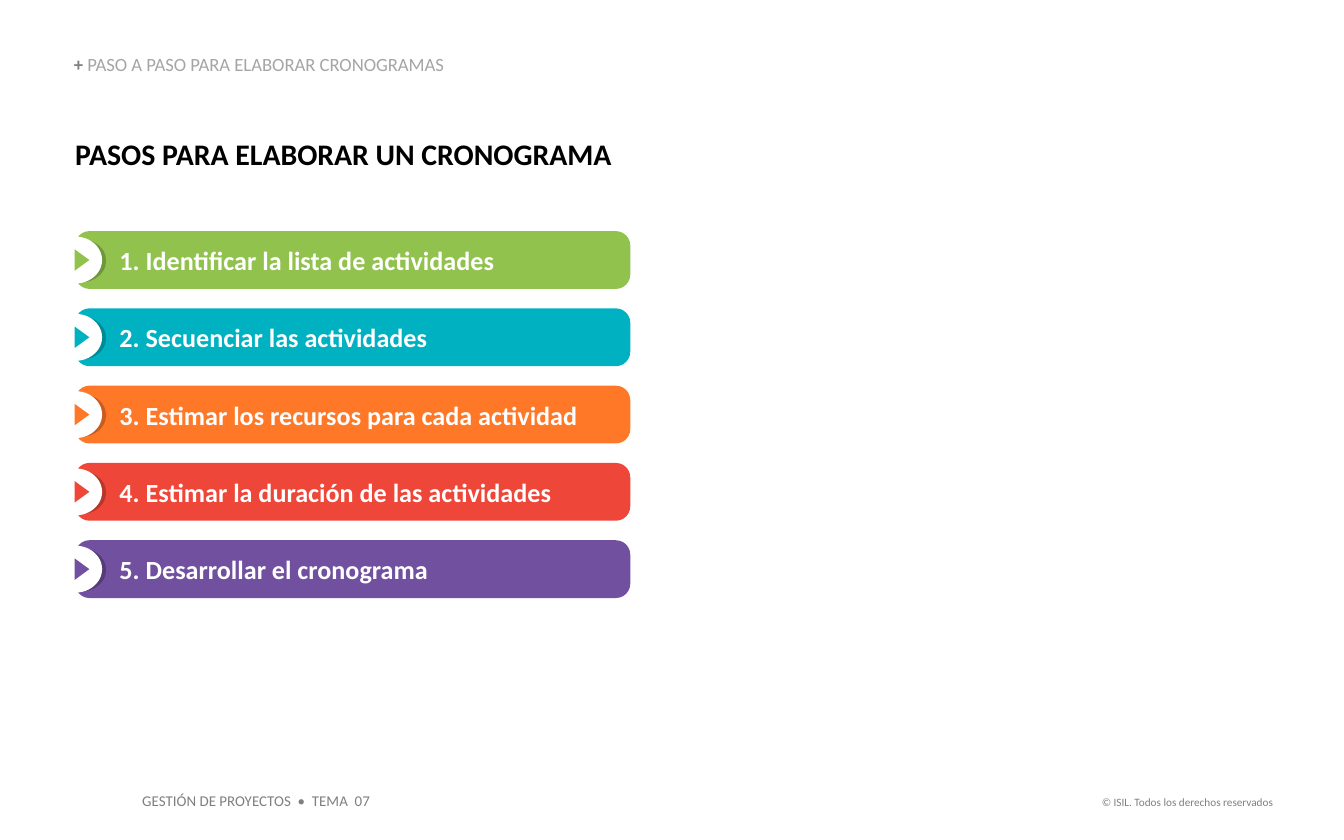
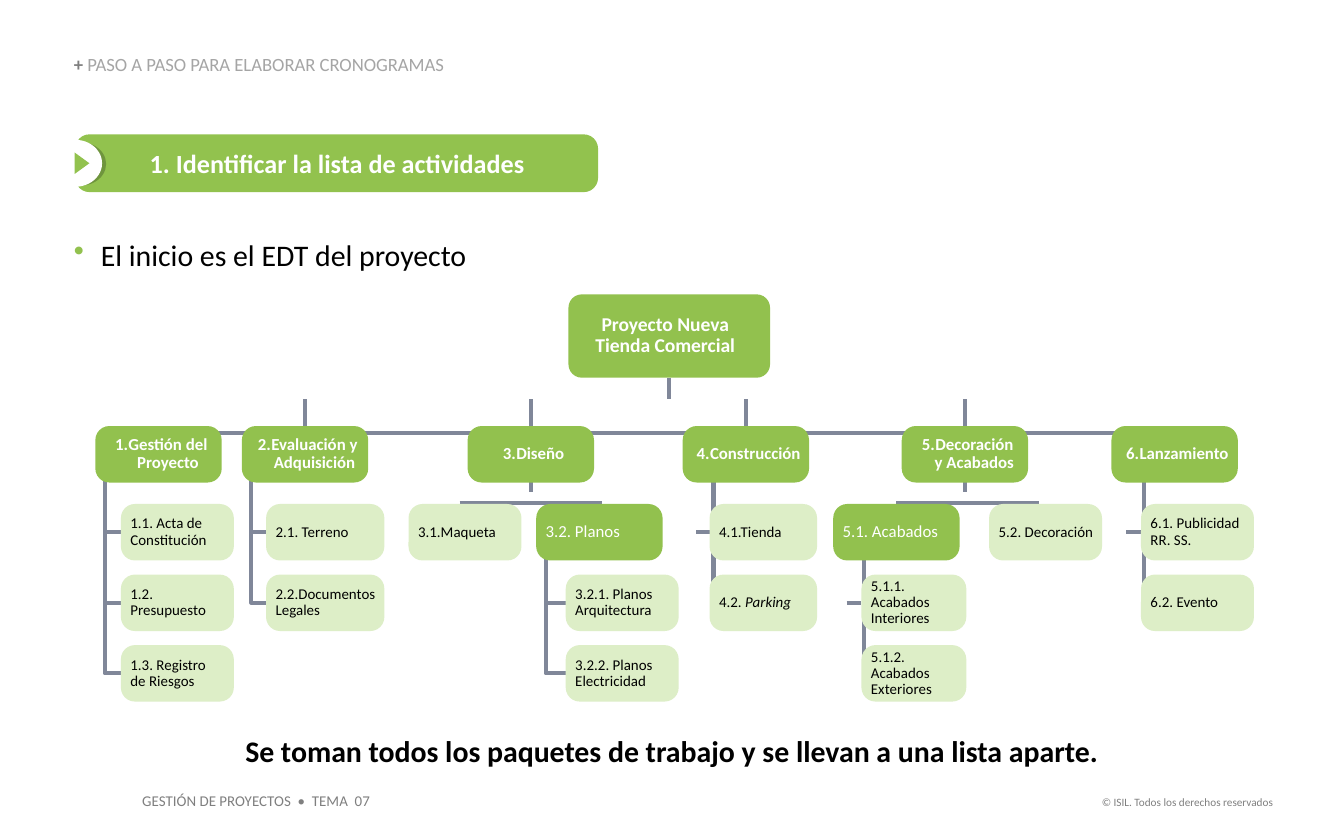
from pptx import Presentation
from pptx.dml.color import RGBColor
from pptx.enum.shapes import MSO_CONNECTOR, MSO_SHAPE
from pptx.enum.text import MSO_ANCHOR, MSO_AUTO_SIZE, PP_ALIGN
from pptx.oxml.ns import qn
from pptx.util import Inches, Pt
from lxml.etree import SubElement

FONT = "Calibri"
WHITE = RGBColor(0xFF, 0xFF, 0xFF)
BLACK = RGBColor(0, 0, 0)
GRAY = RGBColor(0x7F, 0x7F, 0x7F)
SILVER = RGBColor(0xA5, 0xA5, 0xA5)
SLATE = RGBColor(0x80, 0x87, 0x99)
LEAF = RGBColor(0x92, 0xC1, 0x4E)
PALE = RGBColor(0xDD, 0xEE, 0xC7)
GREEN = (RGBColor(0x92, 0xC2, 0x4E), RGBColor(0x6F, 0x95, 0x3D))
TEAL = (RGBColor(0x00, 0xB1, 0xC2), RGBColor(0x00, 0x89, 0x96))
ORANGE = (RGBColor(0xFE, 0x78, 0x28), RGBColor(0xC8, 0x5D, 0x1F))
RED = (RGBColor(0xEE, 0x46, 0x38), RGBColor(0xB8, 0x37, 0x2B))
PURPLE = (RGBColor(0x71, 0x50, 0xA0), RGBColor(0x55, 0x3C, 0x78))

LEFT, CENTER, RIGHT = PP_ALIGN.LEFT, PP_ALIGN.CENTER, PP_ALIGN.RIGHT
MARGIN = 0.56
BAND_H, BAND_GAP = 0.43, 0.575

# Grid of the work breakdown chart
BOX_H, PHASE_W, PHASE_Y = 0.42, 0.94, 3.17
ROW_Y, ROW_GAP = 3.75, 0.525
BUS_Y, DROP_Y, FORK_Y = 3.22, 2.97, 3.74

STEPS = [
    ("1. Identificar la lista de actividades", GREEN),
    ("2. Secuenciar las actividades", TEAL),
    ("3. Estimar los recursos para cada actividad", ORANGE),
    ("4. Estimar la duración de las actividades", RED),
    ("5. Desarrollar el cronograma", PURPLE),
]
PHASES = [
    (0.71, "Gestión del Proyecto"),
    (1.8, "Evaluación y Adquisición"),
    (3.48, "Diseño"),
    (5.08, "Construcción"),
    (6.71, "Decoración\ny Acabados"),
    (8.27, "Lanzamiento"),
]
# Left, width, first row, labels, spine x, spine top, spine overshoots
STACKS = [
    (0.9, 0.84, 0, ["1.1. Acta de Constitución", "1.2. Presupuesto",
                    "1.3. Registro\nde Riesgos"], 0.78, 3.38, False),
    (1.98, 0.88, 0, ["2.1. Terreno", "2.2.Documentos Legales"],
     1.87, 3.38, False),
    (4.21, 0.84, 1, ["3.2.1. Planos Arquitectura",
                     "3.2.2. Planos Electricidad"], 4.06, 3.96, False),
    (5.28, 0.8, 0, ["4.1.Tienda", "4.2. *Parking"], 5.31, 3.38, True),
    (6.41, 0.78, 1, ["5.1.1. Acabados Interiores",
                     "5.1.2. Acabados Exteriores"], 6.43, 3.96, True),
    (8.49, 0.84, 0, ["6.1. Publicidad RR. SS.", "6.2. Evento"],
     8.51, 3.38, True),
]


def set_frame(frame, pads, anchor):
    frame.word_wrap = True
    frame.auto_size = MSO_AUTO_SIZE.NONE
    frame.vertical_anchor = anchor
    (frame.margin_left, frame.margin_top,
     frame.margin_right, frame.margin_bottom) = [Inches(p) for p in pads]


def write(frame, text, size, color, bold=False, align=LEFT, tight=False):
    para = frame.paragraphs[0]
    para.text = text
    para.alignment = align
    if tight:
        para.line_spacing = 0.9
    for run in para.runs:
        style(run, size, color, bold)
    return para


def style(run, size, color, bold=False):
    font = run.font
    font.name, font.size, font.bold = FONT, Pt(size), bold
    font.color.rgb = color


def indent(para, left, hang=0):
    props = para._p.get_or_add_pPr()
    props.set("marL", str(Inches(left)))
    props.set("indent", str(Inches(hang)))
    return props


def bullet(para, color, left, tag, **attrs):
    props = indent(para, left, -left)
    tint = SubElement(props, qn("a:buClr"))
    SubElement(tint, qn("a:srgbClr"), val=str(color))
    SubElement(props, qn(tag), **attrs)


def add_text(slide, x, y, w, h, text, size, color, bold=False,
             align=LEFT, pads=(0, 0, 0, 0)):
    box = slide.shapes.add_textbox(*map(Inches, (x, y, w, h)))
    set_frame(box.text_frame, pads, MSO_ANCHOR.TOP)
    write(box.text_frame, text, size, color, bold, align)
    return box


def add_shape(shapes, kind, x, y, w, h, fill, adj=None):
    shape = shapes.add_shape(kind, *map(Inches, (x, y, w, h)))
    shape.shadow.inherit = False
    shape.fill.solid()
    shape.fill.fore_color.rgb = fill
    shape.line.fill.background()
    if adj is not None:
        shape.adjustments[0] = adj
    return shape


def add_band(slide, y, w, text, colors, align=LEFT, left=0.2):
    main_color, dark = colors
    shapes = slide.shapes.add_group_shape().shapes
    bar = add_shape(shapes, MSO_SHAPE.ROUNDED_RECTANGLE,
                    MARGIN, y, w, BAND_H, main_color, 0.248)
    set_frame(bar.text_frame, (0.1, 0.05, 0.1, 0.05), MSO_ANCHOR.MIDDLE)
    indent(write(bar.text_frame, text, 14, WHITE, True, align), left)
    add_shape(shapes, MSO_SHAPE.OVAL, 0.42, y + 0.06, 0.37, 0.32, dark)
    add_shape(shapes, MSO_SHAPE.OVAL, 0.36, y + 0.04, 0.4, 0.35, WHITE)
    arrow = add_shape(shapes, MSO_SHAPE.ISOSCELES_TRIANGLE,
                      0.53, y + 0.16, 0.16, 0.11, main_color)
    arrow.rotation = 90


def add_node(slide, x, y, w, text, fill=PALE, size=8, color=BLACK,
             bold=False, align=LEFT, h=BOX_H, adj=0.248,
             pads=(0.04, 0, 0, 0)):
    node = add_shape(slide.shapes, MSO_SHAPE.ROUNDED_RECTANGLE,
                     x, y, w, h, fill, adj)
    set_frame(node.text_frame, pads, MSO_ANCHOR.MIDDLE)
    plain, _, slant = text.partition("*")
    para = write(node.text_frame, plain, size, color, bold, align, True)
    if slant:
        run = para.add_run()
        run.text = slant
        style(run, size, color, bold)
        run.font.italic = True
    return node


def add_line(slide, start, end, kind=MSO_CONNECTOR.STRAIGHT):
    """Draw a line behind the boxes."""
    line = slide.shapes.add_connector(kind, *map(Inches, start + end))
    line.line.color.rgb = SLATE
    line.line.width = Pt(2.25)
    SubElement(line._element.spPr, qn("a:effectLst"))
    slide.shapes._spTree.insert(2, line._element)
    return line


def add_elbow(slide, start, end):
    """Go straight up or down first, then sideways."""
    line = add_line(slide, start, end, MSO_CONNECTOR.ELBOW)
    guides = line._element.spPr.find(qn("a:prstGeom")).get_or_add_avLst()
    SubElement(guides, qn("a:gd"), name="adj1", fmla="val 0")
    return line


def row_y(row):
    return ROW_Y + row * ROW_GAP


def add_stack(slide, x, w, first, labels, spine, top, over):
    nodes = [add_node(slide, x, row_y(row), w, text)
             for row, text in enumerate(labels, first)]
    mids = [row_y(first + i) + BOX_H / 2 for i in range(len(nodes))]
    if over:
        add_elbow(slide, (spine, mids[-1]), (spine - 0.14, top))
    else:
        elbow = add_elbow(slide, (spine, top), (x, mids[-1]))
        elbow.end_connect(nodes[-1], 1)
    stub = spine - 0.13 if over else spine
    for node, mid in zip(nodes[:-1], mids):
        add_line(slide, (stub, mid), (x, mid)).end_connect(node, 1)


def add_phase(slide, number, x, text):
    node = add_node(slide, x, PHASE_Y, PHASE_W, "", LEAF)
    para = node.text_frame.paragraphs[0]
    bullet(para, WHITE, 0.1, "a:buAutoNum",
           type="arabicPeriod", startAt=str(number))
    write(node.text_frame, text, 9, WHITE, True, CENTER, True)
    mid = x + PHASE_W / 2
    if number in (3, 5):  # these run on to a fork below
        add_line(slide, (mid, DROP_Y), (mid, 3.66))
    elif number in (2, 4):
        add_line(slide, (mid, DROP_Y), (mid, PHASE_Y)).end_connect(node, 0)


def add_tree(slide):
    # Root and bus
    root = add_node(slide, 4.23, 2.19, 1.5, "Proyecto Nueva Tienda Comercial",
                    LEAF, 10.5, WHITE, True, CENTER, 0.62, 0.16,
                    (0.04, 0.05, 0.1, 0.05))
    add_line(slide, (4.98, 2.81), (4.98, DROP_Y)).begin_connect(root, 2)
    add_line(slide, (1.18, BUS_Y), (8.74, BUS_Y))
    for number, (x, text) in enumerate(PHASES, 1):
        add_phase(slide, number, x, text)
    # Forks with side-by-side packages
    for x in (3.42, 6.67):
        add_line(slide, (x, FORK_Y), (x + 1.06, FORK_Y))
    add_node(slide, 3.04, ROW_Y, 0.84, "3.1.Maqueta")
    add_node(slide, 7.36, ROW_Y, 0.84, "5.2. Decoración")
    for x, text in ((3.99, "3.2. Planos"), (6.2, "5.1. Acabados")):
        add_node(slide, x, ROW_Y, PHASE_W, text, LEAF, 9, WHITE)
    for stack in STACKS:
        add_stack(slide, *stack)


def add_slide(deck, layout):
    slide = deck.slides.add_slide(layout)
    title = slide.shapes.title
    title.left, title.top, title.width, title.height = map(
        Inches, (0.55, 0.41, 3.34, 0.15))
    set_frame(title.text_frame, (0, 0, 0, 0), MSO_ANCHOR.BOTTOM)
    para = write(title.text_frame, "+ ", 10, GRAY, True, tight=True)
    run = para.add_run()
    run.text = "PASO A PASO PARA ELABORAR CRONOGRAMAS"
    style(run, 10, SILVER)
    return slide


def add_footers(layout, slide):
    """Place the footers on the layout that all slides share."""
    pads = (0.1, 0.05, 0.1, 0.05)
    for box in (
        add_text(slide, 7.91, 5.87, 1.66, 0.2,
                 "© ISIL. Todos los derechos reservados",
                 6, GRAY, align=RIGHT, pads=pads),
        add_text(slide, 0.96, 5.84, 1.9, 0.24,
                 "GESTIÓN DE PROYECTOS  •  TEMA  07", 8, GRAY, pads=pads),
    ):
        layout.shapes._spTree.append(box._element)


def main():
    deck = Presentation()
    deck.slide_width, deck.slide_height = Inches(10), Inches(6.25)
    layout = deck.slide_layouts.get_by_name("Title Only")

    # Steps
    slide = add_slide(deck, layout)
    add_footers(layout, slide)
    add_text(slide, MARGIN, 1.01, 8.05, 0.27,
             "PASOS PARA ELABORAR UN CRONOGRAMA", 16, BLACK, True)
    for i, (text, colors) in enumerate(STEPS):
        add_band(slide, 1.72 + i * BAND_GAP, 4.13, text, colors)

    # First step with its work breakdown
    slide = add_slide(deck, layout)
    text, colors = STEPS[0]
    add_band(slide, 1, 3.89, text, colors, CENTER, 0.01)
    intro = add_text(slide, 0.55, 1.76, 6.78, 0.27,
                     "El inicio es el EDT del proyecto", 16, BLACK)
    bullet(intro.text_frame.paragraphs[0], LEAF, 0.2, "a:buChar", char="•")
    add_tree(slide)
    add_text(slide, 1.25, 5.45, 7.5, 0.27,
             "Se toman todos los paquetes de trabajo y se llevan "
             "a una lista aparte.", 16, BLACK, True, CENTER)
    deck.save("out.pptx")


if __name__ == "__main__":
    main()
